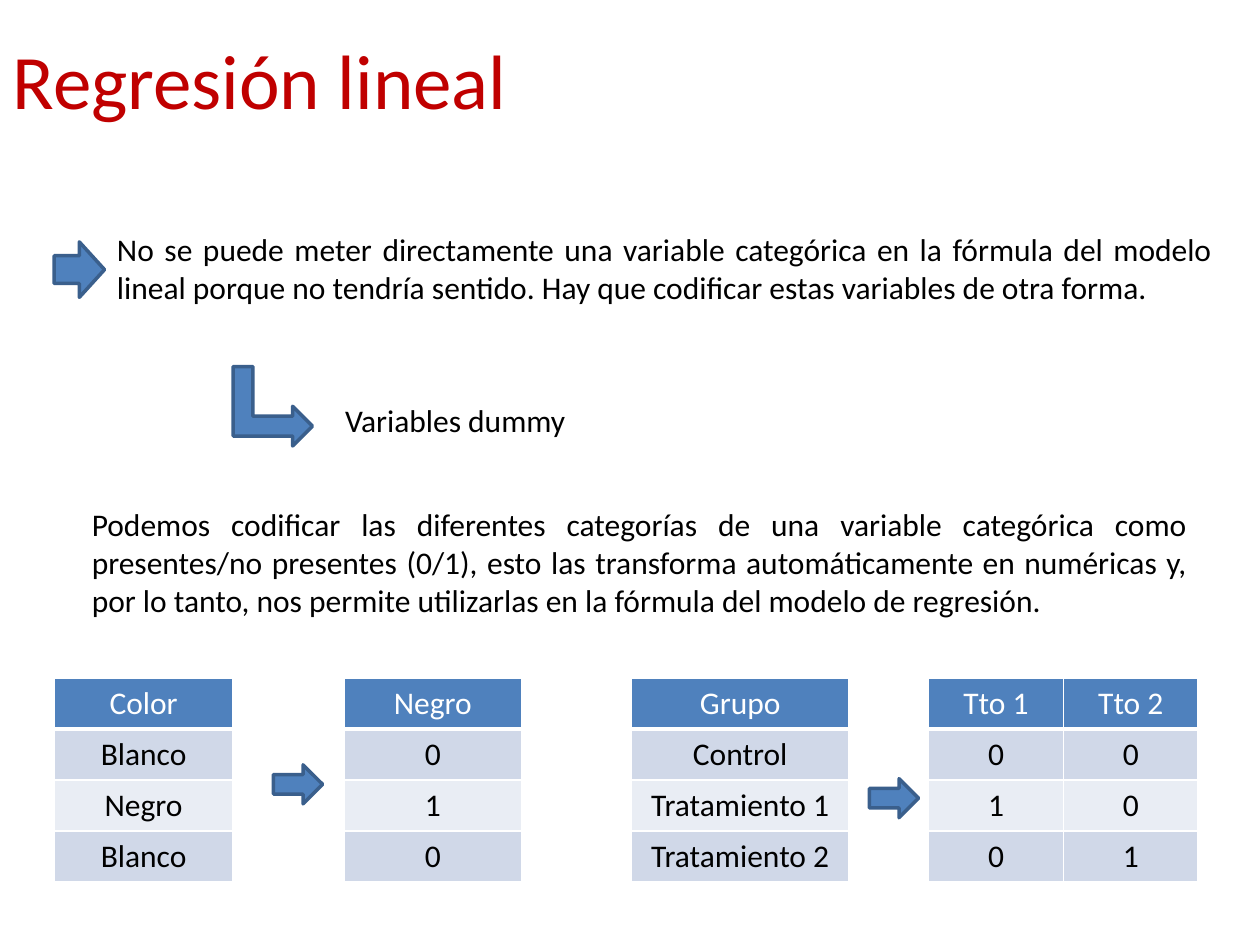
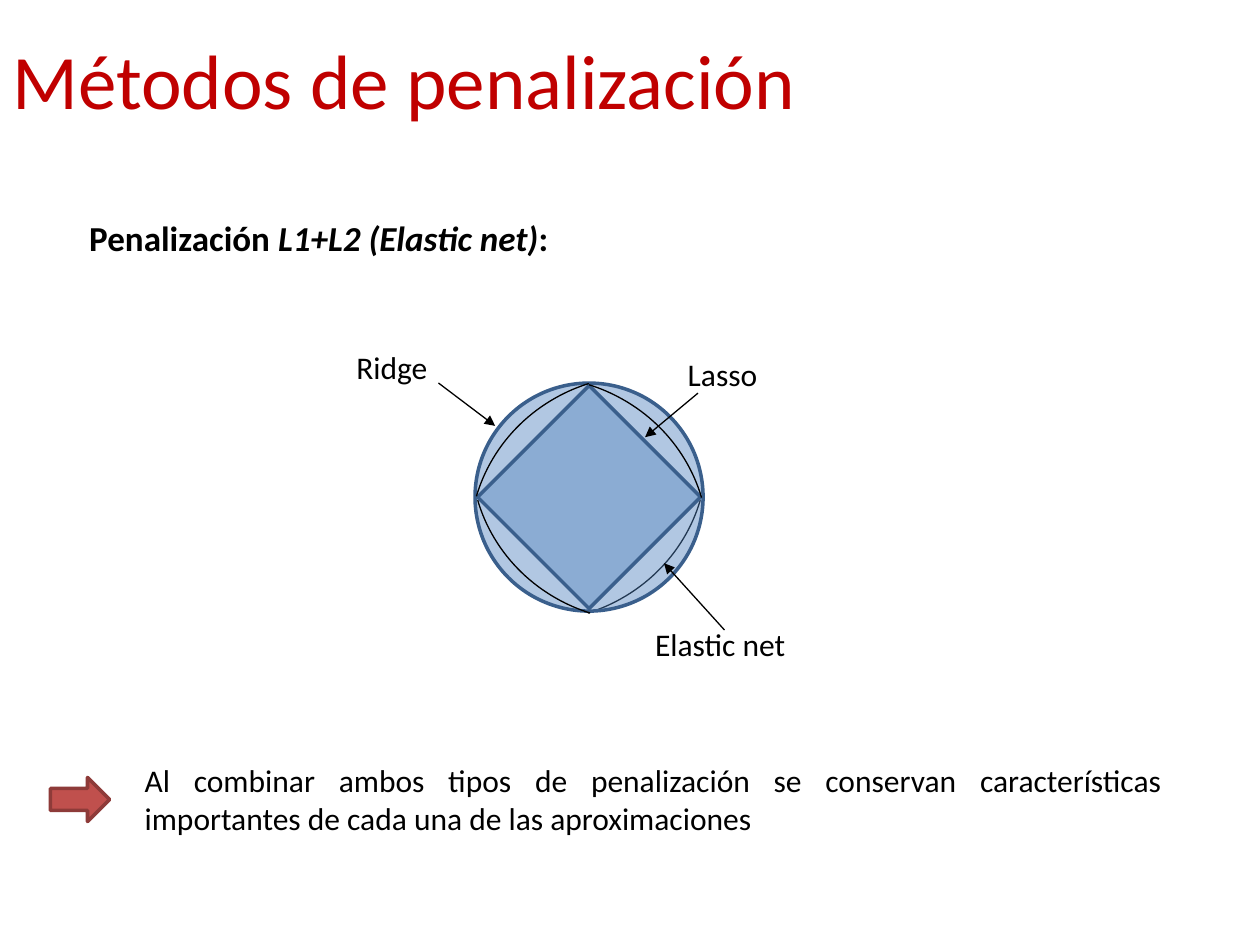
from dataclasses import dataclass

from lxml import etree
from pptx import Presentation
from pptx import util as u
from pptx.dml.color import RGBColor
from pptx.enum import shapes, text
from pptx.oxml.ns import qn

FONT = "Calibri"
RED = RGBColor(0xC0, 0x00, 0x00)
BLACK = RGBColor(0x00, 0x00, 0x00)
WHITE = RGBColor(0xFF, 0xFF, 0xFF)
BLUE = RGBColor(0x4F, 0x81, 0xBD)
BLUE_EDGE = RGBColor(0x3A, 0x5F, 0x8C)
BRICK = RGBColor(0xC0, 0x50, 0x4D)
BRICK_EDGE = RGBColor(0x8E, 0x3B, 0x39)
BAND_DARK = RGBColor(0xD0, 0xD8, 0xE8)
BAND_LIGHT = RGBColor(0xE9, 0xED, 0xF4)

LEFT, CENTER, JUSTIFY = (
    text.PP_ALIGN.LEFT, text.PP_ALIGN.CENTER, text.PP_ALIGN.JUSTIFY)
SHAPE = shapes.MSO_SHAPE
TITLE_ONLY = 5
TABLE_TOP, TABLE_HEIGHT = 5.38, 1.62
ARC_WIDTH, ARC_HEIGHT = 2.73, 2.64
ARC_ANGLES = (173.12, 206.79)


@dataclass(frozen=True)
class Box:
    left: float
    top: float
    width: float
    height: float

    def lengths(self) -> tuple:
        return tuple(map(u.Inches, (self.left, self.top, self.width, self.height)))


@dataclass(frozen=True)
class Span:
    words: str
    bold: bool = False
    italic: bool = False


@dataclass(frozen=True)
class TextBlock:
    box: Box
    spans: tuple[Span, ...]
    size: int = 18
    align: text.PP_ALIGN = LEFT
    wrap: bool = True


@dataclass(frozen=True)
class Figure:
    kind: shapes.MSO_SHAPE
    box: Box
    fill: RGBColor = BLUE
    edge: RGBColor = BLUE_EDGE
    rotation: int = 0
    opacity: int = 100


@dataclass(frozen=True)
class Arc:
    left: float
    top: float
    flip_h: bool = False
    flip_v: bool = False


@dataclass(frozen=True)
class Pointer:
    start: tuple[float, float]
    end: tuple[float, float]


@dataclass(frozen=True)
class DataTable:
    left: float
    width: float
    rows: tuple[tuple[str, ...], ...]


# Slide 1: dummy variables
DUMMY_TEXTS = (
    TextBlock(Box(0.83, 1.78, 8.89, 0.71), (Span(
        "No se puede meter directamente una variable categórica en la fórmula "
        "del modelo lineal porque no tendría sentido. Hay que codificar estas "
        "variables de otra forma."),), align=JUSTIFY),
    TextBlock(Box(2.64, 3.13, 1.97, 0.4), (Span("Variables dummy"),), wrap=False),
    TextBlock(Box(0.63, 3.96, 8.89, 1.01), (Span(
        "Podemos codificar las diferentes categorías de una variable categórica "
        "como presentes/no presentes (0/1), esto las transforma automáticamente "
        "en numéricas y, por lo tanto, nos permite utilizarlas en la fórmula del "
        "modelo de regresión."),), align=JUSTIFY),
)
DUMMY_ARROWS = (
    Figure(SHAPE.RIGHT_ARROW, Box(0.43, 1.92, 0.4, 0.44)),
    Figure(SHAPE.BENT_UP_ARROW, Box(1.85, 2.91, 0.63, 0.63), rotation=90),
    Figure(SHAPE.RIGHT_ARROW, Box(2.17, 6.07, 0.39, 0.31)),
    Figure(SHAPE.RIGHT_ARROW, Box(6.9, 6.18, 0.39, 0.31)),
)
DUMMY_TABLES = (
    DataTable(0.43, 1.42, (("Color",), ("Blanco",), ("Negro",), ("Blanco",))),
    DataTable(2.73, 1.41, (("Negro",), ("0",), ("1",), ("0",))),
    DataTable(5.01, 1.73, (
        ("Grupo",), ("Control",), ("Tratamiento 1",), ("Tratamiento 2",))),
    DataTable(7.37, 2.14, (
        ("Tto 1", "Tto 2"), ("0", "0"), ("1", "0"), ("0", "1"))),
)

# Slide 2: penalty regions
ELASTIC_BEHIND = Arc(2.88, 2.29, flip_v=True)
RIDGE_AND_LASSO = (
    Figure(SHAPE.OVAL, Box(3.77, 3.04, 1.81, 1.81), opacity=44),
    Figure(SHAPE.DIAMOND, Box(3.79, 3.06, 1.77, 1.77), opacity=38),
)
ELASTIC_IN_FRONT = (
    Arc(2.89, 2.99),
    Arc(3.73, 2.98, flip_h=True),
    Arc(3.74, 2.29, flip_h=True, flip_v=True),
)
POINTERS = (
    Pointer((3.48, 3.04), (3.93, 3.38)),
    Pointer((5.54, 3.12), (5.12, 3.47)),
    Pointer((5.75, 5), (5.27, 4.47)),
)
PENALTY_TEXTS = (
    TextBlock(Box(2.73, 2.71, 0.98, 0.4), (Span("Ridge"),)),
    TextBlock(Box(5.36, 2.77, 0.98, 0.4), (Span("Lasso"),)),
    TextBlock(Box(5.1, 4.91, 1.39, 0.4), (Span("Elastic net"),)),
    TextBlock(Box(0.61, 1.67, 4.11, 0.44), (
        Span("Penalización ", bold=True),
        Span("L1+L2 (Elastic net)", bold=True, italic=True),
        Span(":", bold=True)), size=20),
    TextBlock(Box(1.05, 5.99, 8.27, 0.71), (Span(
        "Al combinar ambos tipos de penalización se conservan características "
        "importantes de cada una de las aproximaciones"),), align=JUSTIFY),
)
CONCLUSION_ARROW = Figure(
    SHAPE.RIGHT_ARROW, Box(0.4, 6.17, 0.47, 0.35), BRICK, BRICK_EDGE)


def add_run(paragraph, span: Span, size: int, color: RGBColor = BLACK) -> None:
    run = paragraph.add_run()
    run.text = span.words
    font = run.font
    font.name, font.size = FONT, u.Pt(size)
    font.bold, font.italic = span.bold, span.italic
    font.color.rgb = color


def place(shape, box: Box) -> None:
    shape.left, shape.top, shape.width, shape.height = box.lengths()


def add_titled_slide(presentation, title: str):
    slide = presentation.slides.add_slide(presentation.slide_layouts[TITLE_ONLY])
    shape = slide.shapes.title
    place(shape, Box(0, 0.21, 10, 0.84))
    frame = shape.text_frame
    frame.auto_size = text.MSO_AUTO_SIZE.NONE
    frame.vertical_anchor = text.MSO_ANCHOR.TOP
    paragraph = frame.paragraphs[0]
    paragraph.alignment = LEFT
    add_run(paragraph, Span(title), 44, RED)
    return slide


def add_text(slide, block: TextBlock) -> None:
    frame = slide.shapes.add_textbox(*block.box.lengths()).text_frame
    frame.word_wrap = block.wrap
    paragraph = frame.paragraphs[0]
    paragraph.alignment = block.align
    for span in block.spans:
        add_run(paragraph, span, block.size)


def style_line(line, color: RGBColor, width: float) -> None:
    line.color.rgb = color
    line.width = u.Pt(width)


def add_figure(slide, figure: Figure) -> None:
    shape = slide.shapes.add_shape(figure.kind, *figure.box.lengths())
    shape.shadow.inherit = False
    shape.rotation = figure.rotation
    shape.fill.solid()
    shape.fill.fore_color.rgb = figure.fill
    if figure.opacity < 100:
        color = shape.fill._xPr.find(qn("a:solidFill"))[0]
        etree.SubElement(color, qn("a:alpha"), val=str(figure.opacity * 1000))
    style_line(shape.line, figure.edge, 2)


def add_arc(slide, arc: Arc) -> None:
    box = Box(arc.left, arc.top, ARC_WIDTH, ARC_HEIGHT)
    shape = slide.shapes.add_shape(SHAPE.ARC, *box.lengths())
    shape.shadow.inherit = False
    shape.fill.background()
    shape.adjustments[0], shape.adjustments[1] = ARC_ANGLES
    style_line(shape.line, BLACK, 0.75)
    frame = shape._element.spPr.find(qn("a:xfrm"))
    frame.set("flipH", str(int(arc.flip_h)))
    frame.set("flipV", str(int(arc.flip_v)))


def add_pointer(slide, pointer: Pointer) -> None:
    ends = map(u.Inches, pointer.start + pointer.end)
    connector = slide.shapes.add_connector(shapes.MSO_CONNECTOR.STRAIGHT, *ends)
    style_line(connector.line, BLACK, 0.75)
    etree.SubElement(connector.line._get_or_add_ln(), qn("a:tailEnd"), type="triangle")
    etree.SubElement(connector._element.spPr, qn("a:effectLst"))


def add_border(cell, side: str, points: int) -> None:
    properties = cell._tc.get_or_add_tcPr()
    line = etree.SubElement(properties, qn(f"a:ln{side}"), w=str(u.Pt(points)))
    fill = etree.SubElement(line, qn("a:solidFill"))
    etree.SubElement(fill, qn("a:srgbClr"), val=str(WHITE))


def add_data_table(slide, data: DataTable) -> None:
    box = Box(data.left, TABLE_TOP, data.width, TABLE_HEIGHT)
    table = slide.shapes.add_table(
        len(data.rows), len(data.rows[0]), *box.lengths()).table
    for row, values in enumerate(data.rows):
        header = row == 0
        band = BLUE if header else BAND_DARK if row % 2 else BAND_LIGHT
        for column, value in enumerate(values):
            cell = table.cell(row, column)
            for side in "LRTB":
                add_border(cell, side, 3 if header and side == "B" else 1)
            cell.fill.solid()
            cell.fill.fore_color.rgb = band
            paragraph = cell.text_frame.paragraphs[0]
            paragraph.alignment = CENTER
            add_run(paragraph, Span(value), 18, WHITE if header else BLACK)


def build_dummy_slide(presentation) -> None:
    slide = add_titled_slide(presentation, "Regresión lineal")
    for block in DUMMY_TEXTS:
        add_text(slide, block)
    for data in DUMMY_TABLES:
        add_data_table(slide, data)
    for arrow in DUMMY_ARROWS:
        add_figure(slide, arrow)


def build_penalty_slide(presentation) -> None:
    slide = add_titled_slide(presentation, "Métodos de penalización")
    add_arc(slide, ELASTIC_BEHIND)
    for region in RIDGE_AND_LASSO:
        add_figure(slide, region)
    for arc in ELASTIC_IN_FRONT:
        add_arc(slide, arc)
    for pointer in POINTERS:
        add_pointer(slide, pointer)
    for block in PENALTY_TEXTS:
        add_text(slide, block)
    add_figure(slide, CONCLUSION_ARROW)


def main() -> None:
    presentation = Presentation()
    presentation.slide_width, presentation.slide_height = u.Inches(10), u.Inches(7.5)
    build_dummy_slide(presentation)
    build_penalty_slide(presentation)
    presentation.save("out.pptx")


if __name__ == "__main__":
    main()
